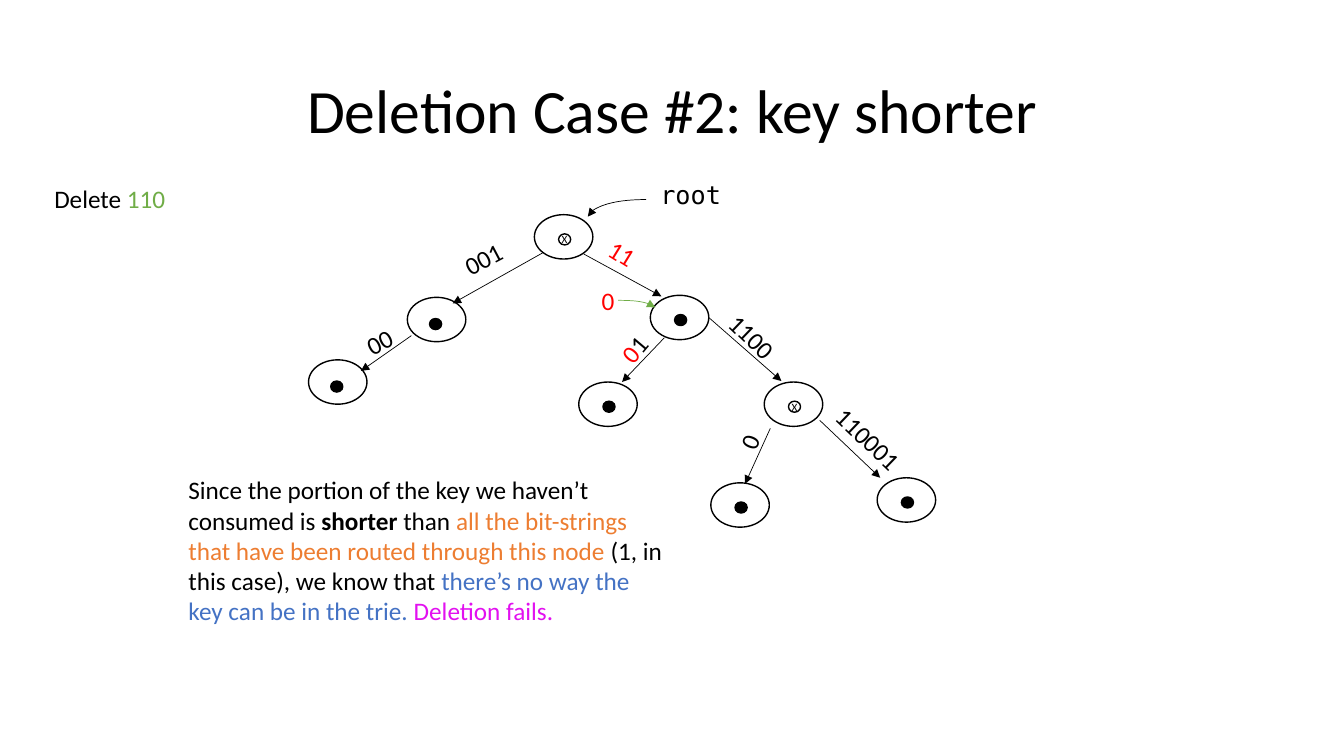
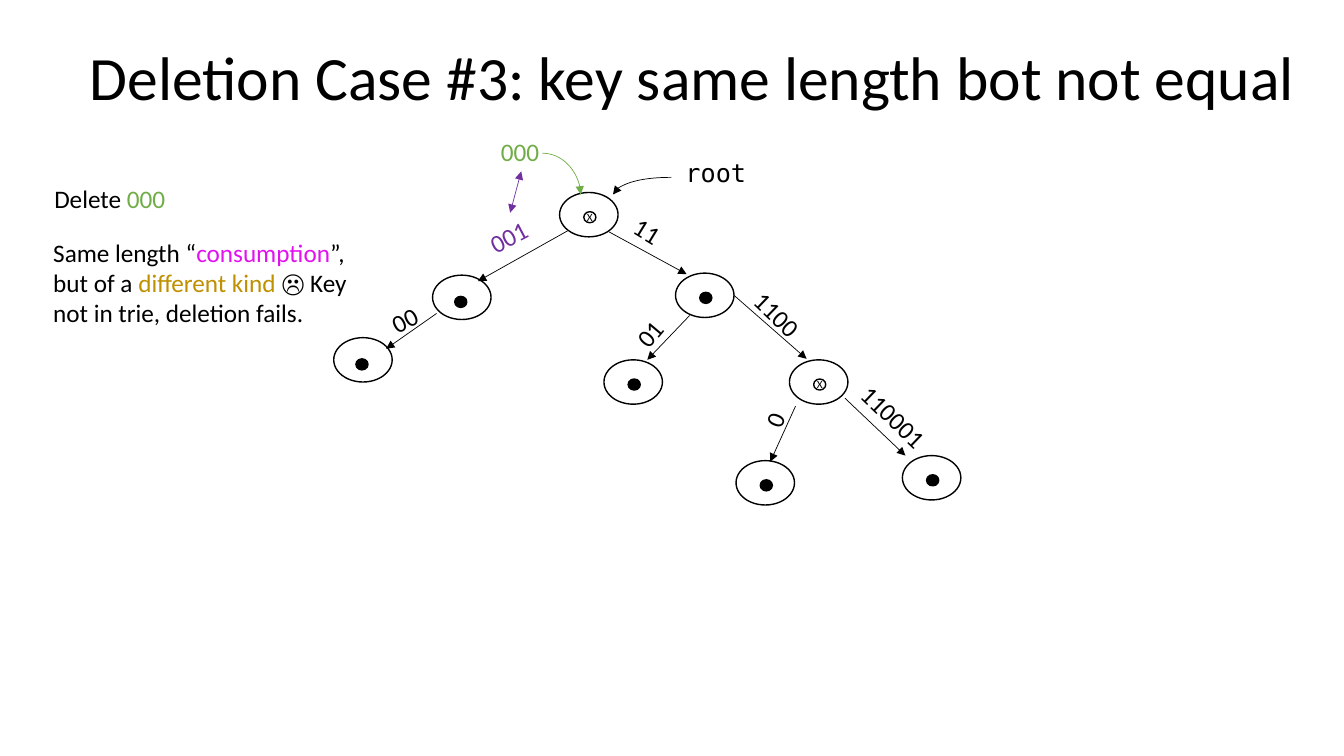
from lxml import etree
from pptx import Presentation
from pptx.dml.color import RGBColor
from pptx.enum.shapes import MSO_CONNECTOR, MSO_SHAPE
from pptx.enum.text import MSO_ANCHOR, MSO_AUTO_SIZE, PP_ALIGN
from pptx.oxml.ns import qn
from pptx.util import Inches, Pt

COLORS = {
    "black": "000000", "red": "FF0000", "green": "70AD47", "orange": "ED7D31",
    "blue": "4472C4", "magenta": "E211F0", "purple": "7030A0", "gold": "BF9000",
}
COLS, ROWS = 133.3, 75  # square grid cells, ten to the inch
NODE = (5.8, 4.4)
DOT = (1.2, 1.1)

# Node place, whether it holds a key, and the offset of its mark
NODES = [
    (53, 21.3, False, (2.4, 1.9)),
    (40.4, 29.5, True, (2.2, 2.1)),
    (30.6, 35.7, True, (2.2, 2.1)),
    (64.5, 29.3, True, (2.4, 1.9)),
    (57.4, 37.9, True, (2.4, 1.9)),
    (75.8, 37.9, False, (2.4, 1.9)),
    (87, 47.4, True, (2.4, 1.9)),
    (70.5, 47.9, True, (2.4, 1.9)),
]
# Edge start and end
EDGES = [
    ((53.8, 25.1), (44.9, 30.1)),
    ((40.8, 33.3), (35.8, 36.8)),
    ((57.9, 25.2), (65.6, 29.4)),
    ((65.9, 33.5), (61.7, 37.9)),
    ((70.3, 31.5), (77.5, 37.8)),
    ((81.3, 41.7), (87.3, 47.4)),
    ((76.4, 42.5), (73.9, 48)),
]
# Edge label: place, width, rotation
LABELS = {
    "001": (44.9, 23.1, 8.2, 332.3),
    "00": (35.3, 31.7, 5.5, 332.3),
    "11": (59.2, 24.1, 8.2, 31.6),
    "01": (59, 31.9, 8.2, 310.1),
    "1100": (70.9, 31.8, 8.2, 43.8),
    "110001": (81.3, 41.6, 9.8, 43.8),
    "0": (72.8, 42, 2.9, 291.8),
}


class Deck:
    """Style, grid and current slide."""
    font, mono = "Calibri", "DejaVu Sans Mono"
    body_size, title_size, mark_size = 18, 44, 8

    def __init__(self):
        self.prs = Presentation()
        self.prs.slide_width = Inches(COLS / 10)
        self.prs.slide_height = Inches(ROWS / 10)
        self.cell = self.prs.slide_height / ROWS

    def grid(self, *cells):
        return [round(c * self.cell) for c in cells]

    def color(self, name):
        return RGBColor.from_string(COLORS[name])

    def new_slide(self):
        self.slide = self.prs.slides.add_slide(self.prs.slide_layouts[6])

    def add_runs(self, p, runs, size, font):
        for text, color, *bold in runs:
            r = p.add_run()
            r.text = text
            r.font.name, r.font.size = font, Pt(size)
            r.font.bold = bool(bold)
            r.font.color.rgb = self.color(color)

    def text(self, x, y, w, runs, h=4, rotation=0, wrap=True, font=None):
        sp = self.slide.shapes.add_textbox(*self.grid(x, y, w, h))
        sp.rotation = rotation
        tf = sp.text_frame
        tf.word_wrap = wrap
        tf.auto_size = MSO_AUTO_SIZE.SHAPE_TO_FIT_TEXT
        self.add_runs(tf.paragraphs[0], runs, self.body_size, font or self.font)

    def title(self, x, y, w, text):
        sp = self.slide.shapes.add_textbox(*self.grid(x, y, w, 14.5))
        tf = sp.text_frame
        tf.word_wrap = True
        tf.vertical_anchor = MSO_ANCHOR.MIDDLE
        p = tf.paragraphs[0]
        p.alignment, p.line_spacing = PP_ALIGN.CENTER, 0.9
        self.add_runs(p, [(text, "black")], self.title_size, self.font)

    def ellipse(self, x, y, size, filled=False):
        sp = self.slide.shapes.add_shape(MSO_SHAPE.OVAL, *self.grid(x, y, *size))
        sp.shadow.inherit = False
        if filled:
            sp.fill.solid()
            sp.fill.fore_color.rgb = self.color("black")
        else:
            sp.fill.background()
        sp.line.color.rgb = self.color("black")
        sp.line.width = Pt(1)
        return sp

    def node(self, x, y, has_key, offset):
        self.ellipse(x, y, NODE)
        mark = self.ellipse(x + offset[0], y + offset[1], DOT, has_key)
        if not has_key:
            tf = mark.text_frame
            tf.word_wrap = False
            tf.margin_left = tf.margin_right = tf.margin_top = tf.margin_bottom = 0
            tf.vertical_anchor = MSO_ANCHOR.MIDDLE
            p = tf.paragraphs[0]
            p.alignment = PP_ALIGN.CENTER
            self.add_runs(p, [("X", "black")], self.mark_size, self.font)

    def arrow(self, start, end, color="black", curved=False, both=False):
        kind = MSO_CONNECTOR.CURVE if curved else MSO_CONNECTOR.STRAIGHT
        cx = self.slide.shapes.add_connector(kind, *self.grid(*start, *end))
        cx.line.color.rgb = self.color(color)
        cx.line.width = Pt(0.5)
        props = cx._element.spPr
        if curved:  # quarter bend: leaves sideways, arrives vertically
            props.find(qn("a:prstGeom")).set("prst", "curvedConnector2")
        ln = cx.line._get_or_add_ln()
        for tag in (["a:headEnd"] if both else []) + ["a:tailEnd"]:
            etree.SubElement(ln, qn(tag)).set("type", "triangle")
        etree.SubElement(props, qn("a:effectLst"))

    def trie(self, dx=0, dy=0, recolor=None, special=None):
        """Draw the trie moved by dx, dy; special maps a label to place and runs."""
        recolor, special = recolor or {}, special or {}

        def move(point):
            return point[0] + dx, point[1] + dy

        for start, end in EDGES:
            self.arrow(move(start), move(end))
        for x, y, has_key, offset in NODES:
            self.node(*move((x, y)), has_key, offset)
        for label, place in LABELS.items():
            runs = [(label, recolor.get(label, "black"))]
            if label in special:
                place, runs = special[label]
            x, y, w, rotation = place
            self.text(*move((x, y)), w, runs, rotation=rotation)
        # Pointer to the root
        self.text(*move((64.5, 17.3)), 8.2, [("root", "black")], font=self.mono)
        self.arrow(move((64.1, 19.8)), move((58.3, 21.5)), curved=True)

    def task(self, key):
        self.text(4.4, 17.7, 27.7, [("Delete ", "black"), (key, "green")])


def shorter_key(deck):
    deck.new_slide()
    deck.title(9.2, 4, 115, "Deletion Case #2: key shorter")
    deck.trie(recolor={"11": "red"}, special={
        "01": ((60.6, 32.6, 4.7, 310.1), [("0", "red"), ("1", "black")])})
    deck.task("110")
    # Unconsumed part of the key
    deck.arrow((61.3, 29.8), (65, 30.5), "green", curved=True)
    deck.text(58.7, 27.8, 3.3, [("0", "red")], wrap=False)
    # Explanation
    deck.text(17.7, 46.6, 49.5, [
        ("Since the portion of the key we haven’t consumed is ", "black"),
        ("shorter", "black", True),
        (" than ", "black"),
        ("all the bit-strings that have been routed through this node ", "orange"),
        ("(1, in this case), we know that ", "black"),
        ("there’s no way the key can be in the trie. ", "blue"),
        ("Deletion fails.", "magenta"),
    ], h=16.2)


def unequal_key(deck):
    deck.new_slide()
    deck.title(5.5, 0.7, 126.4, "Deletion Case #3: key same length bot not equal")
    deck.trie(2.5, -2.2, recolor={"001": "purple"})
    deck.task("000")
    # Key compared with the edge label
    deck.text(48.7, 13, 5.9, [("000", "green")], wrap=False)
    deck.arrow((53.8, 15.2), (57.6, 19.3), "green", curved=True)
    deck.arrow((50.6, 21.1), (51.7, 17), "purple", both=True)
    # Explanation
    deck.text(4.3, 23, 31.3, [
        ("Same length “", "black"),
        ("consumption", "magenta"),
        ("”, but of a ", "black"),
        ("different kind ", "gold"),
        ("☹ Key not in trie, deletion fails.", "black"),
    ], h=10.1)


def main():
    deck = Deck()
    shorter_key(deck)
    unequal_key(deck)
    deck.prs.save("out.pptx")


if __name__ == "__main__":
    main()
